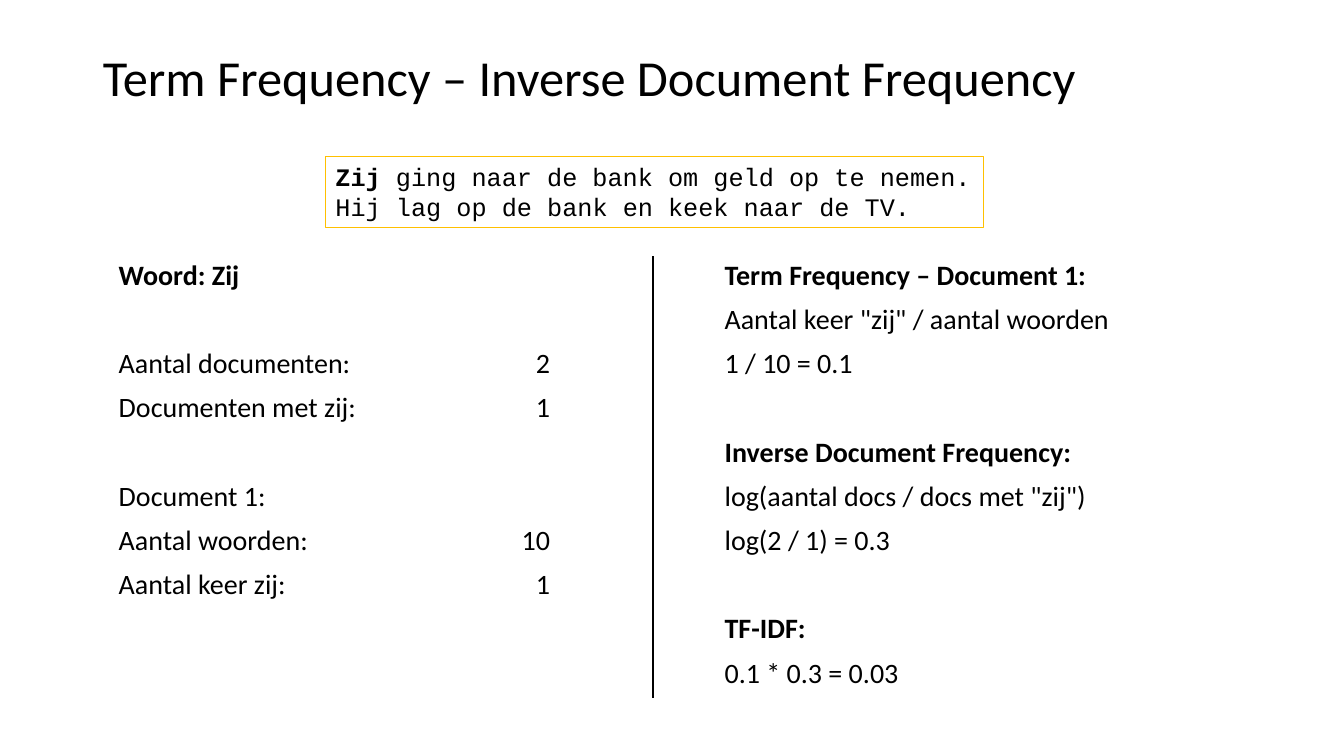
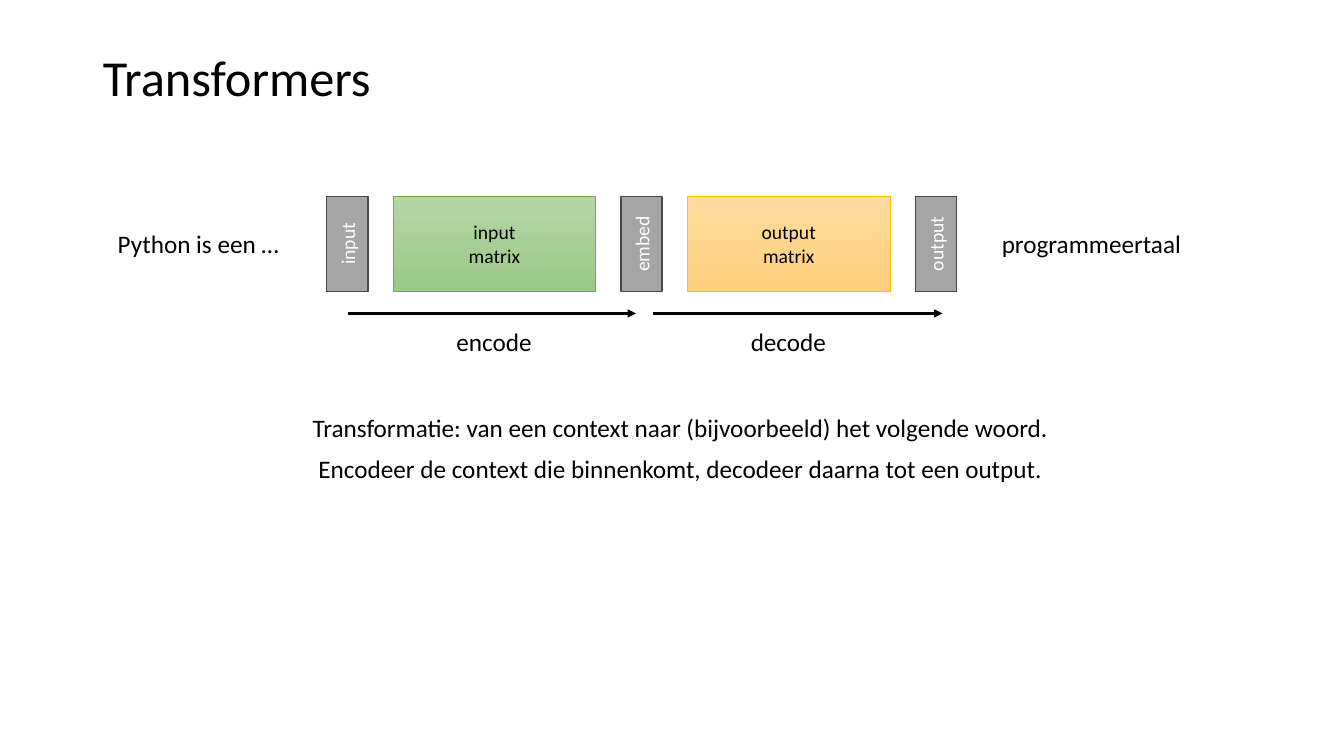
from dataclasses import dataclass

from lxml.etree import SubElement
from pptx import Presentation
from pptx.dml.color import RGBColor
from pptx.enum.shapes import MSO_CONNECTOR, MSO_SHAPE
from pptx.enum.text import MSO_ANCHOR as Anchor, PP_ALIGN as Align
from pptx.oxml.ns import qn
from pptx.util import Pt

EMU_PER_PX = 9144  # 100 px to the inch
COLOURS = {
    "ink": "000000", "paper": "FFFFFF",
    "gold": "FFC000", "gold_top": "FFDB9E", "gold_bottom": "FFD07C",
    "green": "70AD47", "green_top": "B5D5A7", "green_bottom": "9CC987",
    "grey": "A5A5A5", "grey_edge": "484848",
}


@dataclass
class Line:
    """One paragraph: a bold lead, the rest, and the space before it."""
    text: str = ""
    lead: str = ""
    before: float = 10


def px(length):
    return int(length * EMU_PER_PX)


def rgb(name):
    return RGBColor.from_string(COLOURS[name])


def write(frame, lines, size=18, font="Calibri", colour="ink", align=Align.LEFT,
          anchor=Anchor.TOP, wrap=True, spacing=None, tab=None):
    frame.word_wrap = wrap
    frame.vertical_anchor = anchor
    for index, line in enumerate(lines):
        if isinstance(line, str):
            line = Line(line, before=0)
        paragraph = frame.add_paragraph() if index else frame.paragraphs[0]
        paragraph.alignment = align
        paragraph.space_before = Pt(line.before if index else 0)
        if spacing:
            paragraph.line_spacing = spacing
        if tab:
            tabs = SubElement(paragraph._p.get_or_add_pPr(), qn("a:tabLst"))
            SubElement(tabs, qn("a:tab"), pos=str(px(tab)), algn="r")
        for words, bold in ((line.lead, True), (line.text, False)):
            if words:
                run = paragraph.add_run()
                run.text = words
                run.font.name, run.font.size = font, Pt(size)
                run.font.bold = bold
                run.font.color.rgb = rgb(colour)


class Deck:
    def __init__(self):
        self.show = Presentation()
        self.show.slide_width, self.show.slide_height = 12192000, 6858000

    def add_slide(self, title):
        self.slide = self.show.slides.add_slide(self.show.slide_layouts[5])
        heading = self.slide.shapes.title
        heading.left, heading.top, heading.width, heading.height = map(px, (92, 40, 1150, 79))
        write(heading.text_frame, [title], size=36, anchor=Anchor.MIDDLE, spacing=0.9)

    def text(self, x, y, width, height, lines, **style):
        area = self.slide.shapes.add_textbox(*map(px, (x, y, width, height)))
        write(area.text_frame, lines, **style)

    def box(self, x, y, width, height, lines, fill, edge, weight=1, upward=False, **style):
        box = self.slide.shapes.add_shape(
            MSO_SHAPE.RECTANGLE, *map(px, (x, y, width, height)))
        box.shadow.inherit = False
        if isinstance(fill, tuple):
            box.fill.gradient()
            box.fill.gradient_angle = 270
            for stop, name in zip(box.fill.gradient_stops, fill):
                stop.color.rgb = rgb(name)
        else:
            box.fill.solid()
            box.fill.fore_color.rgb = rgb(fill)
        box.line.color.rgb = rgb(edge)
        box.line.width = Pt(weight)
        if upward:
            box.text_frame._txBody.bodyPr.set("vert", "vert270")
        write(box.text_frame, lines, **style)

    def line(self, x1, y1, x2, y2, weight=1, arrow=False):
        line = self.slide.shapes.add_connector(
            MSO_CONNECTOR.STRAIGHT, *map(px, (x1, y1, x2, y2)))
        line.line.color.rgb = rgb("ink")
        line.line.width = Pt(weight)
        if arrow:
            SubElement(line.line._get_or_add_ln(), qn("a:tailEnd"), type="triangle")
        SubElement(line._element.spPr, qn("a:effectLst"))


def tf_idf_slide(deck):
    deck.add_slide("Term Frequency – Inverse Document Frequency")
    new_block = 41.5  # space before a new group of lines

    # Word counts, with the values on a right tab
    counts = [
        Line(lead="Woord: Zij"),
        Line("Aantal documenten:\t2", before=new_block),
        Line("Documenten met zij:\t1"),
        Line("Document 1:", before=new_block),
        Line("Aantal woorden:\t10"),
        Line("Aantal keer zij:\t1"),
    ]
    # Formulas
    formulas = [
        Line(lead="Term Frequency – Document 1:"),
        Line('Aantal keer "zij" / aantal woorden'),
        Line("1 / 10 = 0.1"),
        Line(lead="Inverse Document Frequency:", before=new_block),
        Line('log(aantal docs / docs met "zij")'),
        Line("log(2 / 1) = 0.3"),
        Line(lead="TF-IDF:", before=new_block),
        Line("0.1 * 0.3 = 0.03"),
    ]
    deck.text(108, 254, 516, 439, counts, size=20, spacing=0.9, tab=428)
    deck.text(709, 254, 558, 439, formulas, size=20, spacing=0.9)
    deck.line(648, 254, 648, 692)

    # Example documents
    deck.box(323, 155, 653, 71,
             [Line("ging naar de bank om geld op te nemen.", lead="Zij "),
              "Hij lag op de bank en keek naar de TV."],
             "paper", "gold", font="Courier New", wrap=False)


def transformers_slide(deck):
    deck.add_slide("Transformers")
    left, top, height, step = 324, 195, 94, 292
    centred = {"size": 14, "align": Align.CENTER, "anchor": Anchor.MIDDLE}

    # Vectors between the stages
    for index, vector in enumerate(("input", "embed", "output")):
        deck.box(left + index * step, top, 41, height, [vector], "grey", "grey_edge",
                 upward=True, colour="paper", **centred)

    # Stages: matrix, arrow and label
    stages = [("input", "green", "encode", 345, 631),
              ("output", "gold", "decode", 648, 935)]
    for index, (matrix, hue, action, start, end) in enumerate(stages):
        x = left + index * step
        deck.box(x + 66, top, 201, height, [matrix, "matrix"],
                 (hue + "_top", hue + "_bottom"), hue, weight=0.5, **centred)
        deck.line(start, 311, end, 311, weight=1.5, arrow=True)
        deck.text(x + 119, 319, 96, 40, [action], wrap=False)

    # Context and predicted word
    deck.text(107, 222, 184, 40, ["Python is een …"], wrap=False)
    deck.text(984, 222, 200, 40, ["programmeertaal"], wrap=False)

    # Explanation
    deck.text(100, 407, 1150, 268, [
        Line("Transformatie: van een context naar (bijvoorbeeld) het volgende woord."),
        Line("Encodeer de context die binnenkomt, decodeer daarna tot een output."),
    ], align=Align.CENTER, spacing=0.9)


def main():
    deck = Deck()
    tf_idf_slide(deck)
    transformers_slide(deck)
    deck.show.save("out.pptx")


if __name__ == "__main__":
    main()
